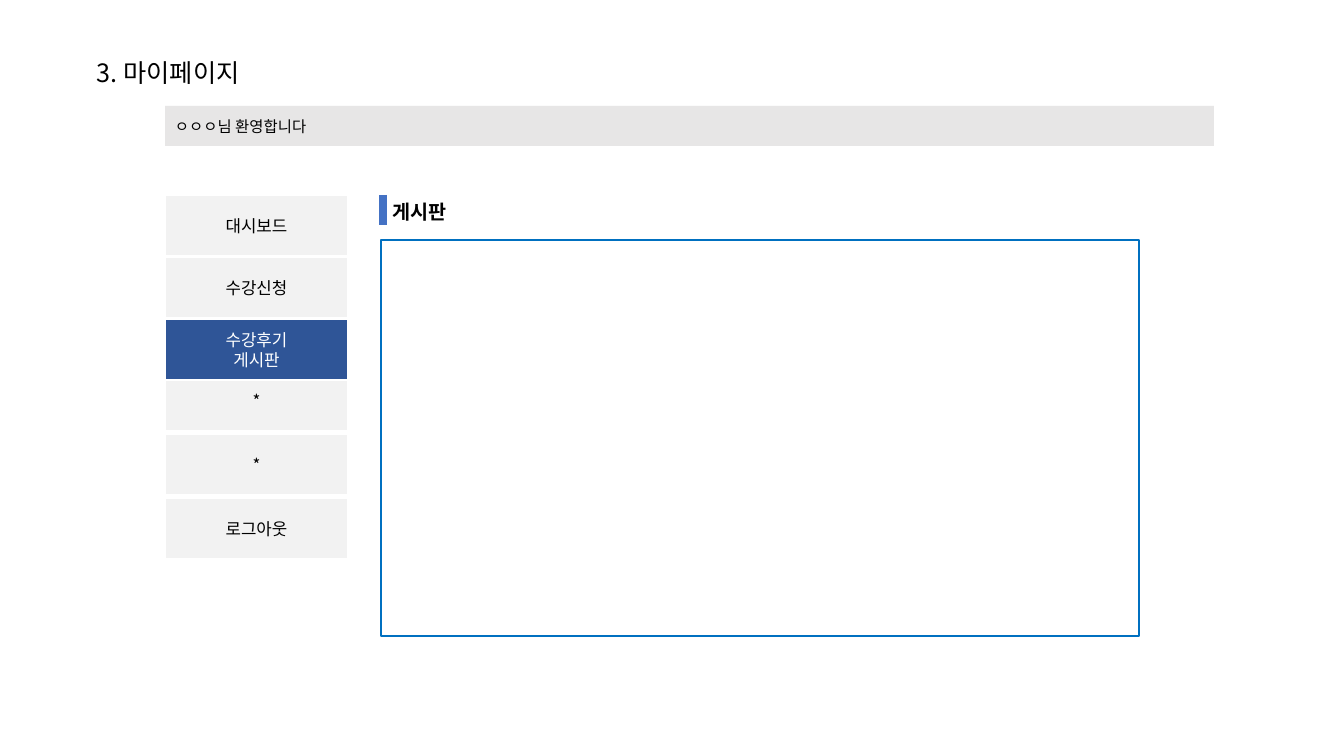
from pptx import Presentation
from pptx.dml.color import RGBColor
from pptx.enum.shapes import MSO_CONNECTOR, MSO_SHAPE
from pptx.enum.text import MSO_ANCHOR, PP_ALIGN
from pptx.oxml.ns import qn
from pptx.util import Pt
from lxml.etree import SubElement

PX = 914400 / 100.8
FONT = "Noto Sans CJK KR"
BLACK = RGBColor(0x00, 0x00, 0x00)
WHITE = RGBColor(0xFF, 0xFF, 0xFF)
BANNER_GRAY = RGBColor(0xE7, 0xE6, 0xE6)
MENU_GRAY = RGBColor(0xF2, 0xF2, 0xF2)
ACTIVE_BLUE = RGBColor(0x2F, 0x55, 0x97)
FRAME_BLUE = RGBColor(0x00, 0x70, 0xC0)
ACCENT_BLUE = RGBColor(0x44, 0x72, 0xC4)


def emu(*lengths):
    return [round(length * PX) for length in lengths]


def write(frame, text, size, color=BLACK, bold=False, align=PP_ALIGN.LEFT):
    frame.text = text
    for paragraph in frame.paragraphs:
        paragraph.alignment = align
        for run in paragraph.runs:
            run.font.size = Pt(size)
            run.font.name = FONT
            run.font.bold = bold
            run.font.color.rgb = color
            SubElement(run.font._element, qn("a:ea")).set("typeface", FONT)


def add_label(slide, box, text, size, bold=False):
    label = slide.shapes.add_textbox(*emu(*box))
    label.text_frame.word_wrap = False
    write(label.text_frame, text, size, bold=bold)


def add_panel(slide, box, fill, line=None, line_width=1):
    panel = slide.shapes.add_shape(MSO_SHAPE.RECTANGLE, *emu(*box))
    panel.shadow.inherit = False
    panel.fill.solid()
    panel.fill.fore_color.rgb = fill
    if line is None:
        panel.line.fill.background()
    else:
        panel.line.color.rgb = line
        panel.line.width = Pt(line_width)
    panel.text_frame.vertical_anchor = MSO_ANCHOR.MIDDLE
    return panel


def add_welcome(slide, box):
    banner = add_panel(slide, box, BANNER_GRAY)
    write(banner.text_frame, "ㅇㅇㅇ님 환영합니다", 11)


def add_menu(slide, left, top, width, pitch, items, active=None):
    for index, item in enumerate(items):
        fill, color = (ACTIVE_BLUE, WHITE) if item == active else (MENU_GRAY, BLACK)
        button = add_panel(slide, (left, top + index * pitch, width, 61), fill, WHITE)
        write(button.text_frame, item, 12, color, align=PP_ALIGN.CENTER)


def add_board(slide, left, top, width, height):
    # Empty content frame under the heading
    add_panel(slide, (left, top + 45, width, height - 45), WHITE, FRAME_BLUE, 1.5)

    # Heading with its accent bar
    bar_x = left + 2
    accent = slide.shapes.add_connector(
        MSO_CONNECTOR.STRAIGHT, *emu(bar_x, top, bar_x, top + 30))
    accent.line.color.rgb = ACCENT_BLUE
    accent.line.width = Pt(6)
    SubElement(accent._element.spPr, qn("a:effectLst"))
    add_label(slide, (bar_x, top, 80, 34), "게시판", 14, bold=True)


def build_my_page(prs):
    slide = prs.slides.add_slide(prs.slide_layouts[6])
    add_label(slide, (87, 52, 172, 40), "3. 마이페이지", 18)
    add_welcome(slide, (165, 106, 1049, 40))
    # The upper group overlaps the top of the lower one
    add_menu(slide, 165, 370, 183, 64, ["*", "*", "로그아웃"])
    review_board = "수강후기\v게시판"
    add_menu(slide, 165, 195, 183, 62, ["대시보드", "수강신청", review_board],
             active=review_board)
    add_board(slide, 381, 195, 758, 441)


def main():
    prs = Presentation()
    prs.slide_width, prs.slide_height = emu(1344, 756)
    build_my_page(prs)
    prs.save("out.pptx")


if __name__ == "__main__":
    main()
